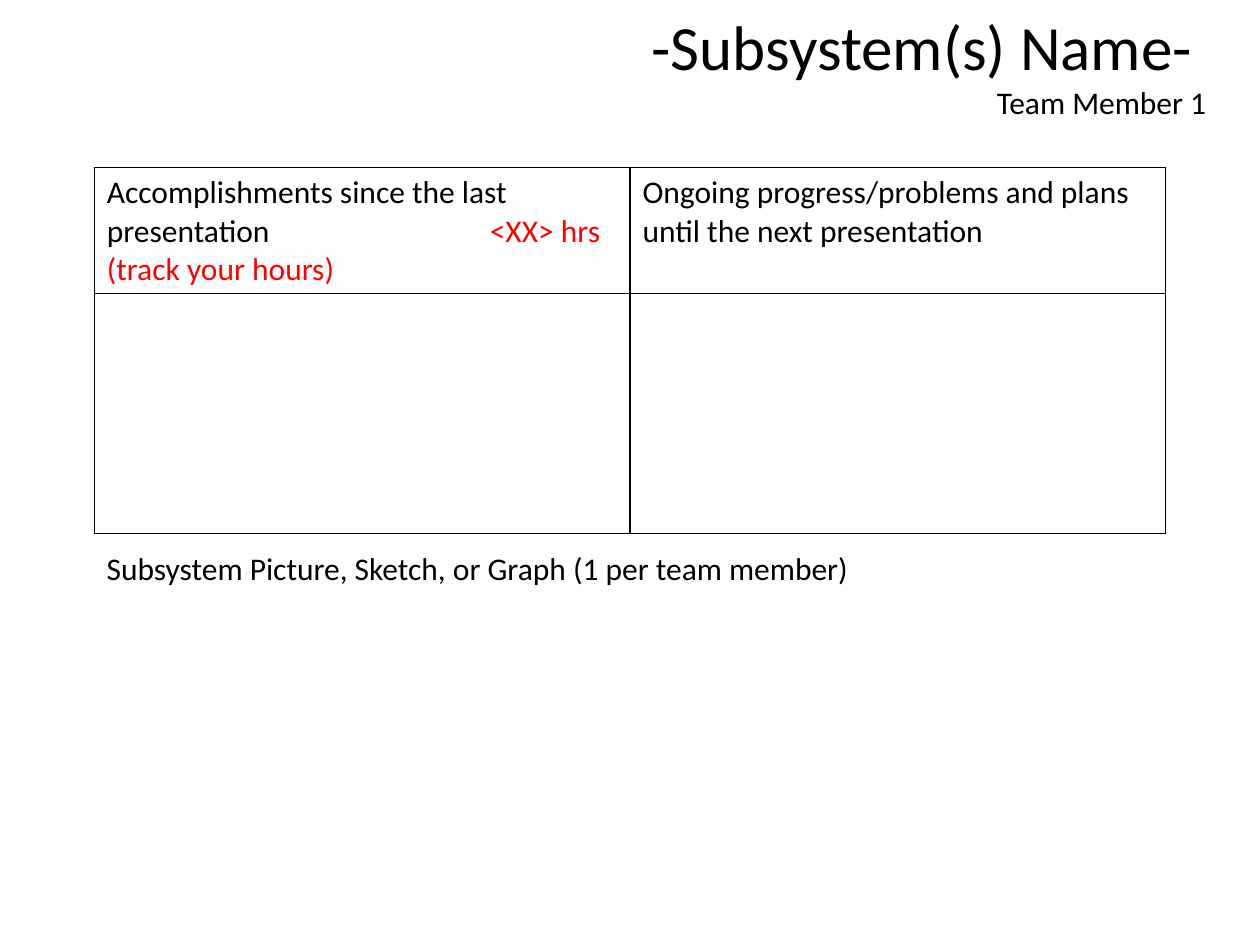
from lxml import etree
from pptx import Presentation
from pptx.dml.color import RGBColor
from pptx.enum.text import PP_ALIGN
from pptx.oxml.ns import qn
from pptx.util import Cm, Pt

LEFT, RIGHT = PP_ALIGN.LEFT, PP_ALIGN.RIGHT
BLACK, RED = "000000", "FF0000"
FONT = "Calibri"
HOURS_TAB = Cm(7.72)


def rgb(color):
    return RGBColor.from_string(color)


def add_text(paragraph, text, size=18, color=BLACK, align=LEFT):
    paragraph.alignment = align
    run = paragraph.add_run()
    run.text = text
    run.font.name = FONT
    run.font.size = Pt(size)
    run.font.color.rgb = rgb(color)


def add_frame(slide, left, top, width, height):
    frame = slide.shapes.add_textbox(left, top, width, height).text_frame
    frame.word_wrap = True
    return frame


def set_tab(paragraph, position):
    tabs = etree.SubElement(paragraph._p.get_or_add_pPr(), qn("a:tabLst"))
    etree.SubElement(tabs, qn("a:tab"), pos=str(position), algn="l")


def set_borders(cell, color=BLACK, width=Pt(1)):
    properties = cell._tc.get_or_add_tcPr()
    for index, side in enumerate(("a:lnL", "a:lnR", "a:lnT", "a:lnB")):
        line = etree.Element(qn(side), w=str(width))
        fill = etree.SubElement(line, qn("a:solidFill"))
        etree.SubElement(fill, qn("a:srgbClr"), val=color)
        properties.insert(index, line)


def add_heading(slide, left, top, width, height):
    heading = add_frame(slide, left, top, width, height)
    add_text(heading.paragraphs[0], "-Subsystem(s) Name- ", size=36, align=RIGHT)
    add_text(heading.add_paragraph(), "Team Member 1", align=RIGHT)


def add_progress_table(slide, left, top, width, row_heights):
    table = slide.shapes.add_table(
        len(row_heights), 2, left, top, width, sum(row_heights)).table
    table.first_row = table.horz_banding = False
    for row, height in zip(table.rows, row_heights):
        row.height = height
    for cell in table.iter_cells():
        cell.fill.background()
        set_borders(cell)

    # Column headings; the hours start at a tab stop
    done, ongoing = (table.cell(0, column).text_frame.paragraphs[0]
                     for column in range(2))
    add_text(done, "Accomplishments since the last presentation\t")
    add_text(done, "<XX> hrs (track your hours)", color=RED)
    set_tab(done, HOURS_TAB)
    add_text(ongoing,
             "Ongoing progress/problems and plans until the next presentation")


def add_sketch_area(slide, left, top, width, height):
    sketch = add_frame(slide, left, top, width, height)
    add_text(sketch.paragraphs[0],
             "Subsystem Picture, Sketch, or Graph (1 per team member)")


def main():
    prs = Presentation()
    prs.slide_width, prs.slide_height = Cm(25.4), Cm(19.05)
    slide = prs.slides.add_slide(prs.slide_layouts[6])

    # Table and sketch area share the same side margins
    margin = Cm(1.9)
    content_width = prs.slide_width - 2 * margin
    add_heading(slide, Cm(6.15), Cm(0.03), Cm(18.42), Cm(2.57))
    add_progress_table(slide, margin, Cm(3.38), content_width,
                       (Cm(2.54), Cm(4.83)))
    add_sketch_area(slide, margin, Cm(10.95), content_width, Cm(6.4))
    prs.save("out.pptx")


if __name__ == "__main__":
    main()
